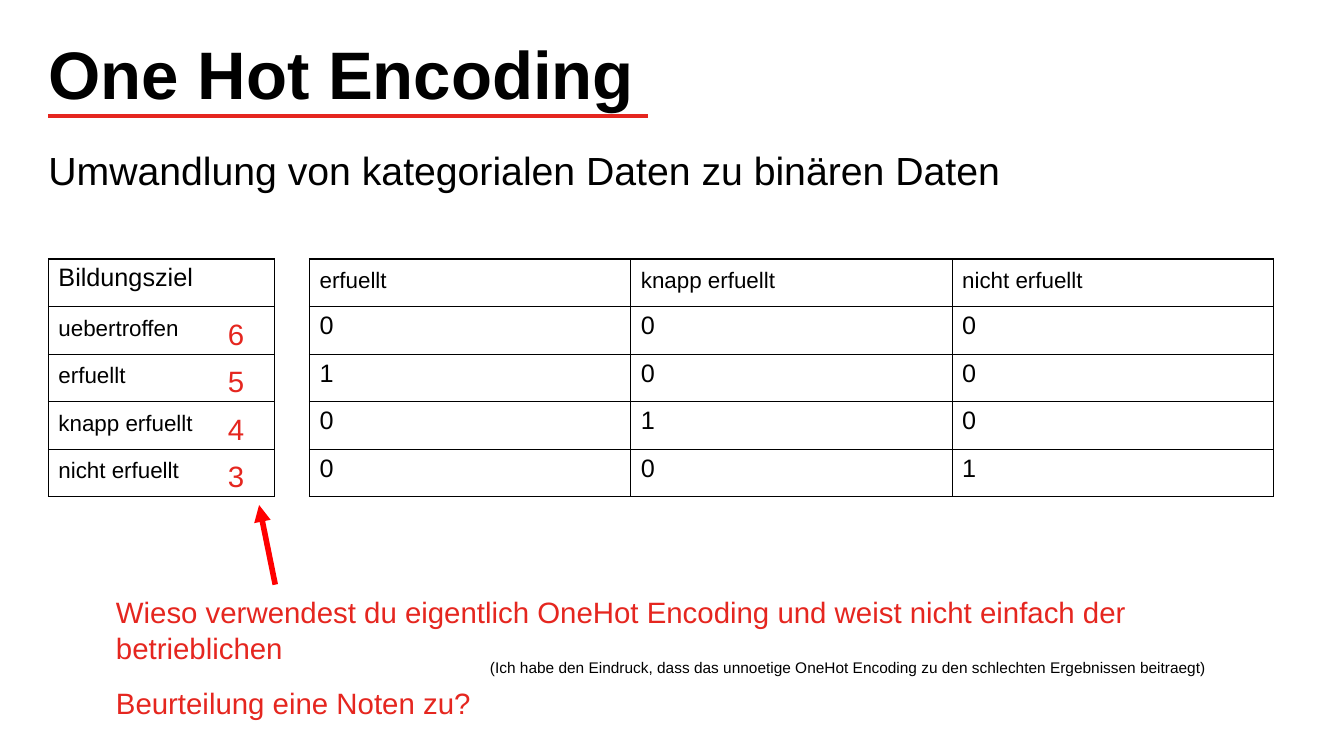
"""Build the One Hot Encoding slide with its two tables and the question below."""
from lxml import etree
from pptx import Presentation
from pptx.dml.color import RGBColor
from pptx.enum.shapes import MSO_CONNECTOR
from pptx.oxml.ns import qn
from pptx.util import Inches, Pt

LINE = MSO_CONNECTOR.STRAIGHT
HUES = {"ink": "000000", "red": "E5261F", "arrow": "FF0000"}
SIDES = ("a:lnL", "a:lnR", "a:lnT", "a:lnB")


def write(frame, lines, size, hue="ink", lead=None, bold=False):
    for i, line in enumerate(lines):
        para = frame.paragraphs[0] if i == 0 else frame.add_paragraph()
        if lead:
            para.line_spacing = Pt(lead)
        if i:
            para.space_before = Pt(13)
        run = para.add_run()
        run.text = line
        look = {"name": "Arial", "size": Pt(size), "bold": bold}
        for key, value in look.items():
            setattr(run.font, key, value)
        run.font.color.rgb = RGBColor.from_string(HUES[hue])


def edge(cell):
    props = cell._tc.get_or_add_tcPr()
    for i, side in enumerate(SIDES):
        line = etree.Element(qn(side), w=str(Pt(1)))
        fill = etree.SubElement(line, qn("a:solidFill"))
        etree.SubElement(fill, qn("a:srgbClr"), val=HUES["ink"])
        props.insert(i, line)


deck = Presentation()
deck.slide_width, deck.slide_height = Inches(13.33), Inches(7.5)
slide = deck.slides.add_slide(deck.slide_layouts[6])
shapes = slide.shapes

goals = ["uebertroffen", "erfuellt", "knapp erfuellt", "nicht erfuellt"]
codes = [[str(int(goal == name)) for name in goals[1:]] for goal in goals]
tables = [
    (0.48, 2.24, [["Bildungsziel"]] + [[goal] for goal in goals]),
    (3.07, 9.56, [goals[1:]] + codes),
]
for left, width, rows in tables:
    box = (Inches(left), Inches(2.57), Inches(width), Inches(2.36))
    table = shapes.add_table(len(rows), len(rows[0]), *box).table
    table.first_row = table.horz_banding = False
    for r, row in enumerate(rows):
        for c, word in enumerate(row):
            cell = table.cell(r, c)
            cell.fill.background()
            edge(cell)
            if word in goals:
                write(cell.text_frame, [word], 16, lead=21)
            else:
                write(cell.text_frame, [word], 18)

rules = [
    ((0.48, 1.15, 6.43, 1.15), "red", 3),
    ((2.73, 5.8, 2.57, 5.01), "arrow", 4),
]
for ends, hue, width in rules:
    rule = shapes.add_connector(LINE, *map(Inches, ends))
    rule.line.color.rgb = RGBColor.from_string(HUES[hue])
    rule.line.width = Pt(width)
    etree.SubElement(rule._element.spPr, qn("a:effectLst"))
    if hue == "arrow":
        etree.SubElement(rule.line._get_or_add_ln(), qn("a:tailEnd"), type="triangle")

ask = [
    "Wieso verwendest du eigentlich OneHot Encoding und weist nicht einfach der betrieblichen",
    "Beurteilung eine Noten zu?",
]
aside = (
    "(Ich habe den Eindruck, dass das unnoetige OneHot Encoding "
    "zu den schlechten Ergebnissen beitraegt)"
)
intro = "Umwandlung von kategorialen Daten zu binären Daten"
body = {"lead": 26}
red = {"lead": 26, "hue": "red"}
texts = [
    ((0.48, 0.36, 12.36, 1.49), ["One Hot Encoding"], 48, {"lead": 55, "bold": True}),
    ((0.48, 1.56, 11.62, 0.54), [intro], 28, body),
    ((1.15, 5.88, 11.1, 1), ask, 21, red),
    ((4.86, 6.35, 7.17, 1), [aside], 11, body),
]
for i, grade in enumerate("6543"):
    texts.append(((2.26, 3.12 + i * 2.36 / 5, 0.55, 0.39), [grade], 21, red))

for box, lines, size, style in texts:
    frame = shapes.add_textbox(*map(Inches, box)).text_frame
    inset = {f"margin_{side}": 0 for side in ("left", "top", "right", "bottom")}
    for key, value in inset.items():
        setattr(frame, key, value)
    frame.word_wrap = False
    write(frame, lines, size, **style)

deck.save("out.pptx")
